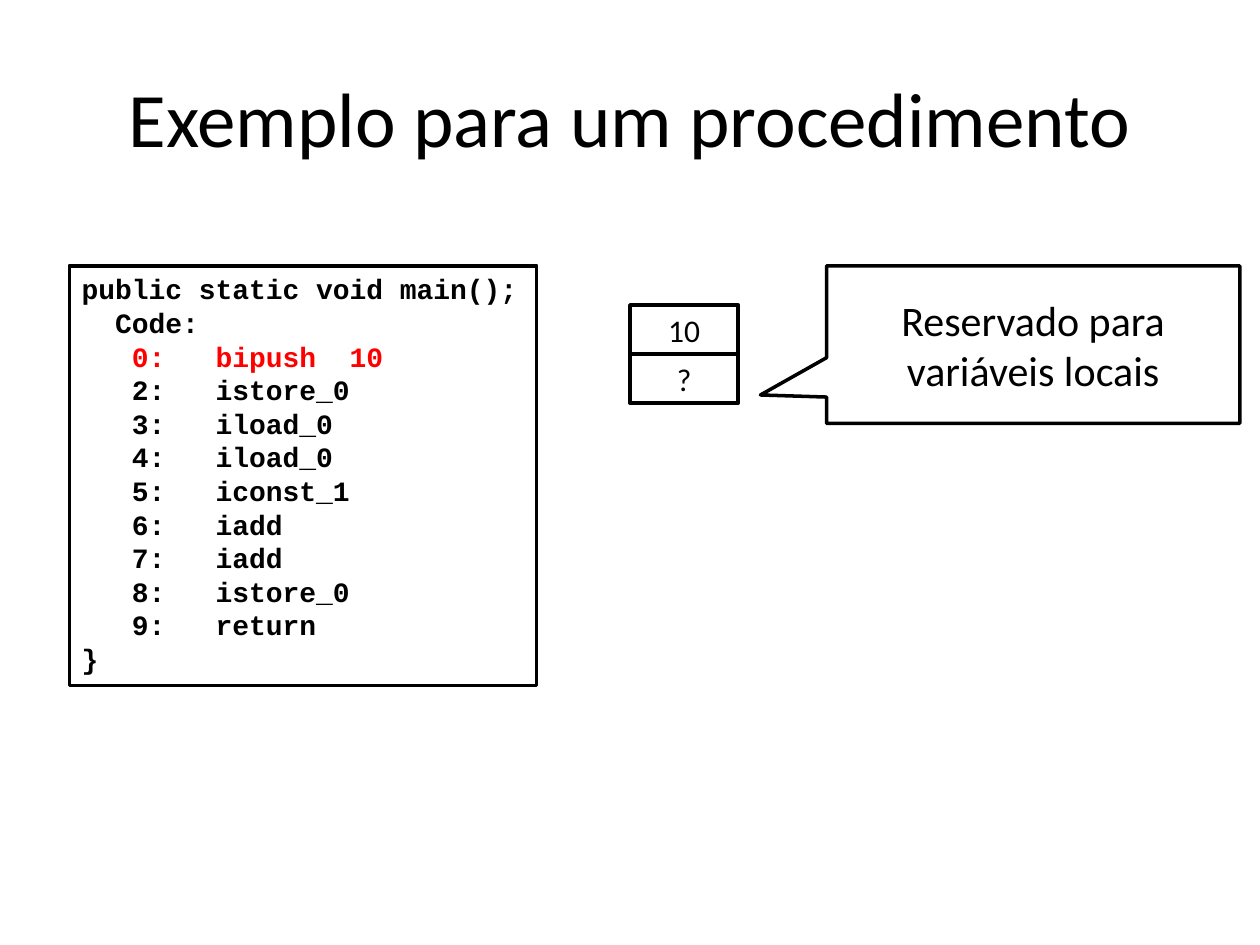
from dataclasses import dataclass

from pptx import Presentation
from pptx.dml.color import RGBColor
from pptx.enum import shapes, text
from pptx.util import Inches, Pt


@dataclass(frozen=True)
class Theme:
    """Colours, fonts and type sizes of the slide."""
    ink: RGBColor = RGBColor(0, 0, 0)
    paper: RGBColor = RGBColor(255, 255, 255)
    active: RGBColor = RGBColor(255, 0, 0)
    sans: str = "Calibri"
    mono: str = "Courier New"
    title: int = 44
    note: int = 24
    cell: int = 18
    code: int = 16
    line: int = 2


@dataclass(frozen=True)
class Box:
    """Place of an element in inches."""
    left: float
    top: float
    width: float
    height: float

    def place(self) -> tuple:
        """Return the place as lengths."""
        return tuple(Inches(v) for v in (self.left, self.top, self.width, self.height))


@dataclass(frozen=True)
class Step:
    """One bytecode instruction."""
    offset: int
    code: str

    def label(self) -> str:
        """Return the line as the disassembler prints it."""
        return f"{self.offset:>4}:   {self.code}"


THEME = Theme()
SHAPE = shapes.MSO_SHAPE
STEPS = [
    Step(0, "bipush  10"), Step(2, "istore_0"), Step(3, "iload_0"),
    Step(4, "iload_0"), Step(5, "iconst_1"), Step(6, "iadd"),
    Step(7, "iadd"), Step(8, "istore_0"), Step(9, "return"),
]
CURRENT = 0
STACK = ["10", "?"]
FIRST = Box(5, 2.42, 0.86, 0.39)


def add_run(par, words: str, size: int, font: str = THEME.sans,
            color: RGBColor = THEME.ink, bold: bool = False) -> None:
    """Add one formatted run to a paragraph."""
    run = par.add_run()
    run.text = words
    run.font.size, run.font.name, run.font.bold = Pt(size), font, bold
    run.font.color.rgb = color


def add_box(slide, box: Box, kind=SHAPE.RECTANGLE):
    """Add a white shape with a black outline."""
    shape = slide.shapes.add_shape(kind, *box.place())
    shape.shadow.inherit = False
    shape.fill.solid()
    shape.fill.fore_color.rgb = THEME.paper
    shape.line.color.rgb = THEME.ink
    shape.line.width = Pt(THEME.line)
    return shape


def add_label(shape, words: str, size: int) -> None:
    """Write centred text in a shape."""
    frame = shape.text_frame
    frame.word_wrap = True
    frame.vertical_anchor = text.MSO_ANCHOR.MIDDLE
    par = frame.paragraphs[0]
    par.alignment = text.PP_ALIGN.CENTER
    add_run(par, words, size)


def add_code(slide, box: Box) -> None:
    """Add the listing with the current instruction in red."""
    frame = add_box(slide, box).text_frame
    frame.word_wrap = False
    frame.auto_size = text.MSO_AUTO_SIZE.SHAPE_TO_FIT_TEXT
    frame.vertical_anchor = text.MSO_ANCHOR.TOP
    rows = [("public static void main();", THEME.ink), ("  Code:", THEME.ink)]
    rows += [(step.label(), THEME.active if step.offset == CURRENT else THEME.ink)
             for step in STEPS]
    rows.append(("}", THEME.ink))
    for i, (words, color) in enumerate(rows):
        par = frame.add_paragraph() if i else frame.paragraphs[0]
        par.alignment = text.PP_ALIGN.LEFT
        add_run(par, words, THEME.code, THEME.mono, color, True)


def add_stack(slide) -> None:
    """Add the stack cells from top to bottom."""
    for i, value in enumerate(STACK):
        box = Box(FIRST.left, FIRST.top + i * FIRST.height, FIRST.width, FIRST.height)
        add_label(add_box(slide, box), value, THEME.cell)


def add_note(slide, box: Box) -> None:
    """Add the callout that points to the local variables."""
    note = add_box(slide, box, SHAPE.RECTANGULAR_CALLOUT)
    note.adjustments[0], note.adjustments[1] = -0.66, 0.32
    add_label(note, "Reservado para variáveis locais", THEME.note)


def main() -> None:
    """Build and save the slide."""
    deck = Presentation()
    deck.slide_width, deck.slide_height = Inches(10), Inches(7.5)
    slide = deck.slides.add_slide(deck.slide_layouts[5])
    title = slide.shapes.title
    title.left, title.top, title.width, title.height = Box(0.5, 0.3, 9, 1.25).place()
    add_label(title, "Exemplo para um procedimento", THEME.title)
    add_code(slide, Box(0.55, 2.11, 3.71, 3.33))
    add_stack(slide)
    add_note(slide, Box(6.56, 2.11, 3.28, 1.25))
    deck.save("out.pptx")


main()
